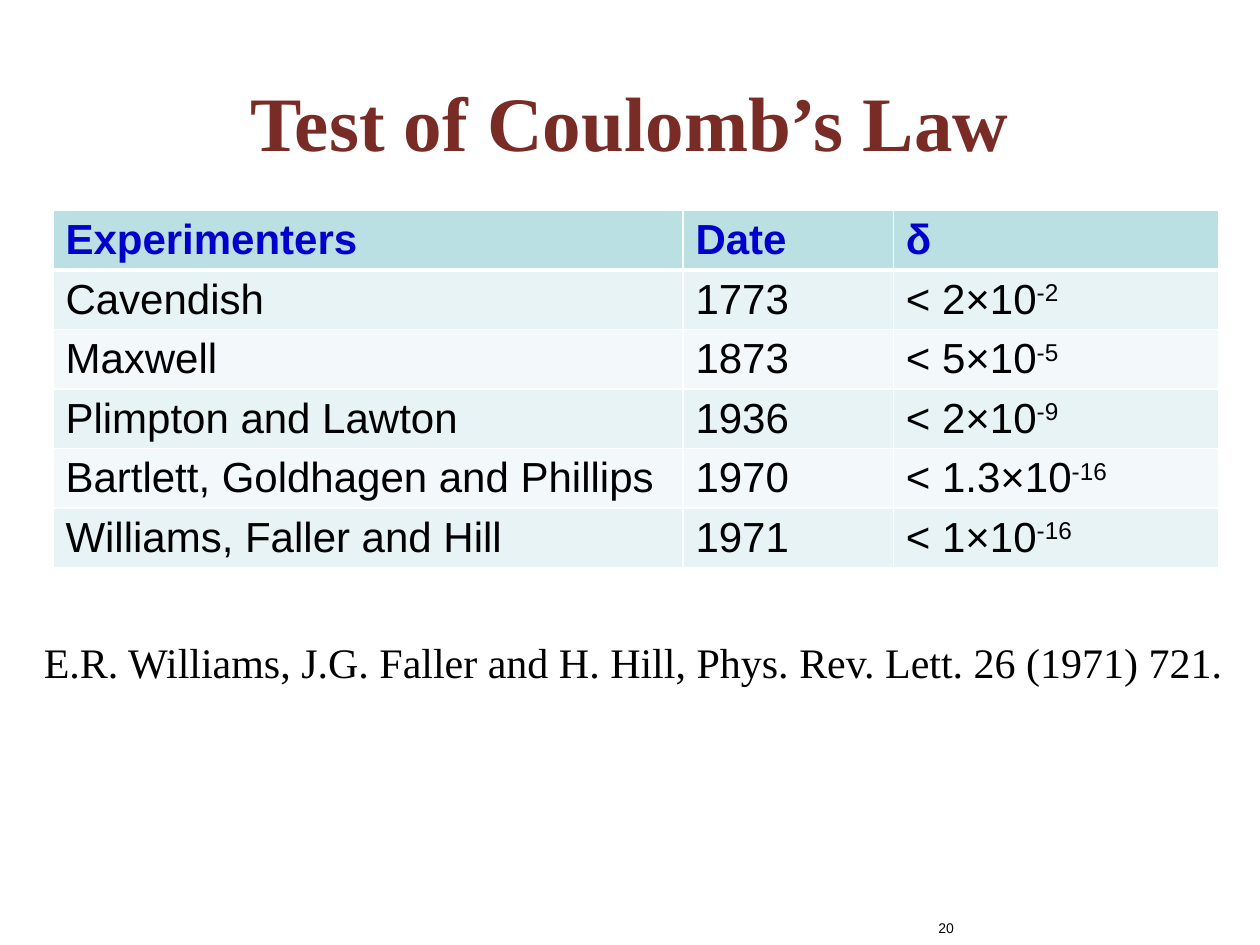
import pptx
import pptx.util
import pptx.dml.color
import pptx.enum.text
import pptx.oxml

inch = pptx.util.Inches
align = pptx.enum.text.PP_ALIGN
anchor = pptx.enum.text.MSO_ANCHOR
drawns = "http://schemas.openxmlformats.org/drawingml/2006/main"


def color(code):
    return pptx.dml.color.RGBColor.from_string(code)


def style(line, face, size, code, bold=False):
    for run in line.runs:
        run.font.name = face
        run.font.size = pptx.util.Pt(size)
        run.font.color.rgb = color(code)
        run.font.bold = bold


deck = pptx.Presentation()
wide = deck.slide_width = inch(10)
high = deck.slide_height = inch(7.5)
slide = deck.slides.add_slide(deck.slide_layouts[5])

title = slide.shapes.title
title.left, title.top = int(wide * 0.05), inch(0.42)
title.width, title.height = int(wide * 0.9), inch(1.08)
title.text_frame.text = "Test of Coulomb’s Law"
title.text_frame.vertical_anchor = anchor.MIDDLE
head = title.text_frame.paragraphs[0]
head.alignment = align.CENTER
style(head, "Times New Roman", 44, "792B25", True)

rows = [
    ("Experimenters", "Date", "δ", ""),
    ("Cavendish", "1773", "< 2×10", "-2"),
    ("Maxwell", "1873", "< 5×10", "-5"),
    ("Plimpton and Lawton", "1936", "< 2×10", "-9"),
    ("Bartlett, Goldhagen and Phillips", "1970", "< 1.3×10", "-16"),
    ("Williams, Faller and Hill", "1971", "< 1×10", "-16"),
]
cols = [5, 1.67, 2.58]
step = 0.47
table = slide.shapes.add_table(
    len(rows), len(cols), inch(0.42), inch(1.67),
    inch(sum(cols)), inch(step * len(rows))).table
for col, size in zip(table.columns, cols):
    col.width = inch(size)

for r, (name, date, bound, power) in enumerate(rows):
    for c, text in enumerate((name, date, bound)):
        cell = table.cell(r, c)
        cell.text_frame.text = text
        line = cell.text_frame.paragraphs[0]
        if c == 2 and power:
            top = line.add_run()
            top.text = power
            top.font._element.set("baseline", "30000")
        style(line, "Arial", 24, "000000" if r else "0000CC", r == 0)

        props = cell._tc.get_or_add_tcPr()
        for side in "LRTB":
            thick = (r == 0 and side == "B") or (r == 1 and side == "T")
            props.append(pptx.oxml.parse_xml(
                f'<a:ln{side} xmlns:a="{drawns}" w="{38100 if thick else 12700}">'
                f'<a:solidFill><a:srgbClr val="FFFFFF"/></a:solidFill></a:ln{side}>'))
        cell.fill.solid()
        band = "E7F3F4" if r % 2 else "F3F9FA"
        cell.fill.fore_color.rgb = color(band if r else "BBE0E3")

cite = slide.shapes.add_textbox(inch(0.25), int(high * 2 / 3), inch(9.64), inch(0.51))
cite.text_frame.word_wrap = False
cite.text_frame.auto_size = pptx.enum.text.MSO_AUTO_SIZE.SHAPE_TO_FIT_TEXT
cite.text_frame.text = (
    "E.R. Williams, J.G. Faller and H. Hill, Phys. Rev. Lett. 26 (1971) 721.")
style(cite.text_frame.paragraphs[0], "Times New Roman", 24, "000000")

page = slide.shapes.add_textbox(inch(6.75), inch(7.25), inch(0.92), inch(0.25))
page.text_frame.word_wrap = True
page.text_frame.text = "20"
page.text_frame.paragraphs[0].alignment = align.RIGHT
style(page.text_frame.paragraphs[0], "Arial", 8, "000000")

deck.save("out.pptx")
